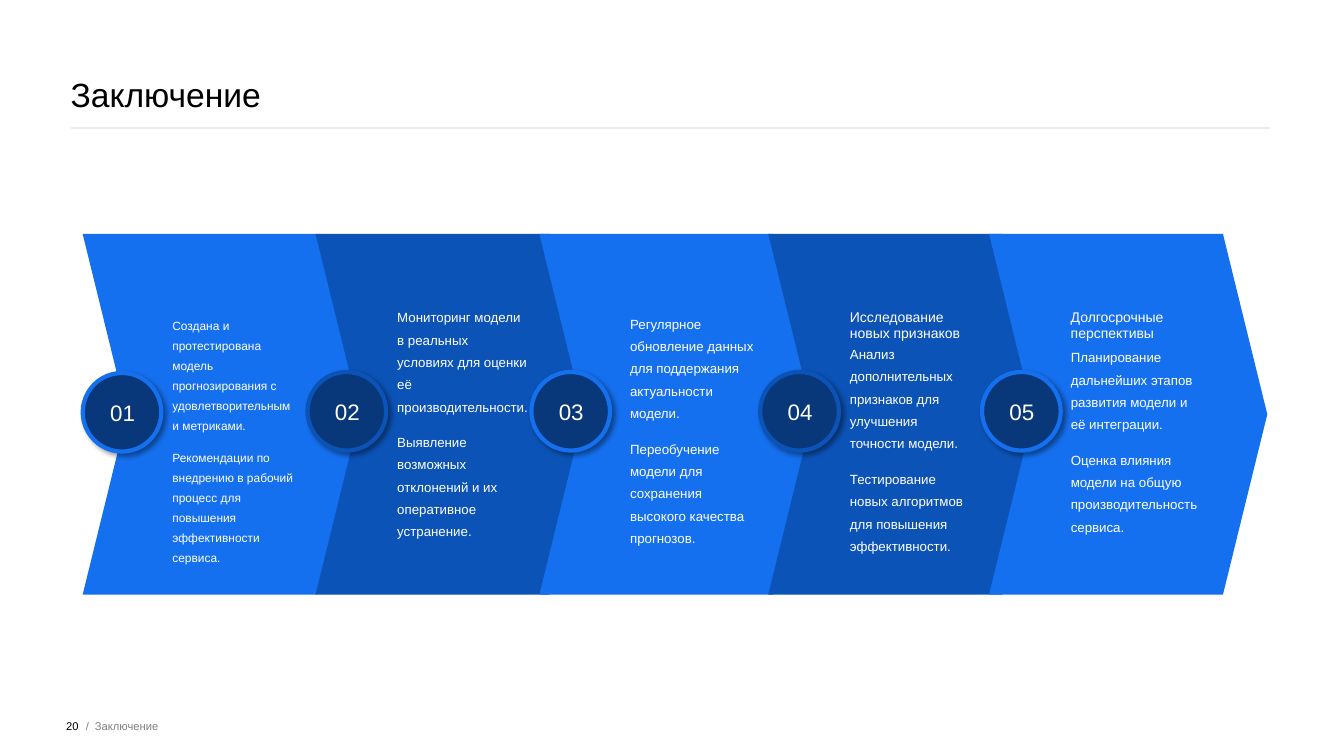
import pptx
import pptx.util
import pptx.oxml
import pptx.dml.color
import pptx.enum.shapes
import pptx.enum.text
from pptx.oxml.ns import nsdecls

Inches = pptx.util.Inches
Pt = pptx.util.Pt
SHAPES = pptx.enum.shapes.MSO_SHAPE
ALIGN = pptx.enum.text.PP_ALIGN
ANCHOR = pptx.enum.text.MSO_ANCHOR

BRIGHT, DEEP, NAVY = "1570EF", "0C53B7", "08387A"
WHITE, BLACK, GRAY, RULE = "FFFFFF", "000000", "808080", "EAECF0"
BAND_TOP, BAND_HEIGHT, STEP_WIDTH, POINT_DEPTH = 2.32, 3.58, 2.76, 0.44
BADGE_SIZE = 0.78

# left: arrow; badge: circle (left, top); body: text box (left, top, width, height)
STEPS = [
    {"left": 0.82, "badge": (0.82, 3.7), "body": (1.71, 3.4, 1.23, 1.91), "size": 8.5,
     "text": ["Создана и протестирована модель прогнозирования с удовлетворительными метриками.",
              "Рекомендации по внедрению в рабочий процесс для повышения эффективности сервиса."]},
    {"left": 3.13, "badge": (3.05, 3.69), "body": (3.94, 3.4, 1.3, 1.56), "size": 9.5,
     "text": ["Мониторинг модели в реальных условиях для оценки её производительности.",
              "Выявление возможных отклонений и их оперативное устранение."]},
    {"left": 5.35, "badge": (5.27, 3.69), "body": (6.25, 3.29, 1.23, 1.91), "size": 9.5,
     "text": ["Регулярное обновление данных для поддержания актуальности модели.",
              "Переобучение модели для сохранения высокого качества прогнозов."]},
    {"left": 7.62, "badge": (7.54, 3.69), "body": (8.43, 3.4, 1.23, 2.07), "size": 9.5,
     "heading": "Исследование новых признаков",
     "text": ["Анализ дополнительных признаков для улучшения точности модели.",
              "Тестирование новых алгоритмов для повышения эффективности."]},
    {"left": 9.81, "badge": (9.74, 3.69), "body": (10.62, 3.4, 1.32, 1.91), "size": 9.5,
     "heading": "Долгосрочные перспективы",
     "text": ["Планирование дальнейших этапов развития модели и её интеграции.",
              "Оценка влияния модели на общую производительность сервиса."]},
]


def color(value):
    return pptx.dml.color.RGBColor.from_string(value)


def add_text(slide, box, lines, size, fill, anchor=ANCHOR.MIDDLE, **paragraph_format):
    frame = slide.shapes.add_textbox(*map(Inches, box)).text_frame
    frame_format = {"word_wrap": True, "vertical_anchor": anchor, "margin_left": 0,
                    "margin_right": 0, "margin_top": 0, "margin_bottom": 0}
    for name, value in frame_format.items():
        setattr(frame, name, value)
    for index, line in enumerate(lines):
        paragraph = frame.add_paragraph() if index else frame.paragraphs[0]
        for name, value in paragraph_format.items():
            setattr(paragraph, name, value)
        run = paragraph.add_run()
        run.text = line
        for name, value in {"name": "Arial", "size": Pt(size)}.items():
            setattr(run.font, name, value)
        run.font.color.rgb = color(fill)


def add_filled_shape(slide, kind, box, fill):
    shape = slide.shapes.add_shape(kind, *map(Inches, box))
    shape.shadow.inherit = False
    shape.fill.solid()
    shape.fill.fore_color.rgb = color(fill)
    shape.line.fill.background()
    return shape


def add_header(slide, box, title):
    left, top, width, height = box
    add_text(slide, box, [title], 24, BLACK, ANCHOR.BOTTOM, space_before=Pt(10))
    # Rule under the title
    rule_top = Inches(top + height + 0.14)
    rule = slide.shapes.add_connector(pptx.enum.shapes.MSO_CONNECTOR.STRAIGHT,
                                      Inches(left), rule_top, Inches(left + width), rule_top)
    rule.line.color.rgb = color(RULE)
    rule.line.width = Pt(2)
    rule._element.spPr.append(pptx.oxml.parse_xml(f"<a:effectLst {nsdecls('a')}/>"))


def add_arrow(slide, box, fill):
    arrow = add_filled_shape(slide, SHAPES.CHEVRON, box, fill)
    arrow.adjustments[0] = POINT_DEPTH / min(box[2:])


def add_badge(slide, box, label, ring):
    badge = add_filled_shape(slide, SHAPES.OVAL, box, NAVY)
    badge.line.color.rgb = color(ring)
    badge.line.width = Pt(3)
    # Soft shadow towards the lower right
    effects = badge._element.spPr.find(pptx.oxml.ns.qn("a:effectLst"))
    effects.append(pptx.oxml.parse_xml(
        f'<a:outerShdw {nsdecls("a")} blurRad="{Pt(3.8)}" dist="{Pt(3)}" dir="2700000" '
        'algn="tl" rotWithShape="0"><a:srgbClr val="000000"><a:alpha val="40000"/>'
        '</a:srgbClr></a:outerShdw>'))
    left, top, width, height = box
    add_text(slide, (left + 0.1, top + 0.05, width - 0.19, height - 0.1), [label], 16, WHITE,
             alignment=ALIGN.CENTER)


def add_step_text(slide, box, step):
    left, top, width, height = box
    add_text(slide, box, step["text"], step["size"], WHITE,
             line_spacing=1.4, space_after=Pt(step["size"]))
    if "heading" in step:
        add_text(slide, (left, top - 0.52, 1.23, 0.51), [step["heading"]], 10, WHITE,
                 ANCHOR.BOTTOM)


def add_process(slide, top, height):
    rings = [DEEP if index % 2 else BRIGHT for index in range(len(STEPS))]
    for step, fill in zip(STEPS, rings):
        add_arrow(slide, (step["left"], top, STEP_WIDTH, height), fill)
    for number, (step, ring) in enumerate(zip(STEPS, rings), 1):
        add_badge(slide, (*step["badge"], BADGE_SIZE, BADGE_SIZE), f"{number:02d}", ring)
        add_step_text(slide, step["body"], step)


def add_footer(slide, box, page, title):
    left, top, width, height = box
    add_text(slide, (left, top, 0.31, height), [page], 8, BLACK,
             alignment=ALIGN.RIGHT, space_before=Pt(10))
    add_text(slide, (left + 0.35, top, 0.12, height), [" /"], 8, GRAY)
    add_text(slide, (left + 0.47, top, width - 0.47, height), [title], 8, GRAY,
             space_before=Pt(10))


def main():
    presentation = pptx.Presentation()
    presentation.slide_width = Inches(13.33)
    presentation.slide_height = Inches(7.5)
    slide = presentation.slides.add_slide(presentation.slide_layouts[6])
    add_header(slide, (0.7, 0, 11.9, 1.13), "Заключение")
    add_process(slide, BAND_TOP, BAND_HEIGHT)
    add_footer(slide, (0.47, 6.9, 9.08, 0.6), "20", "Заключение")
    presentation.save("out.pptx")


if __name__ == "__main__":
    main()
